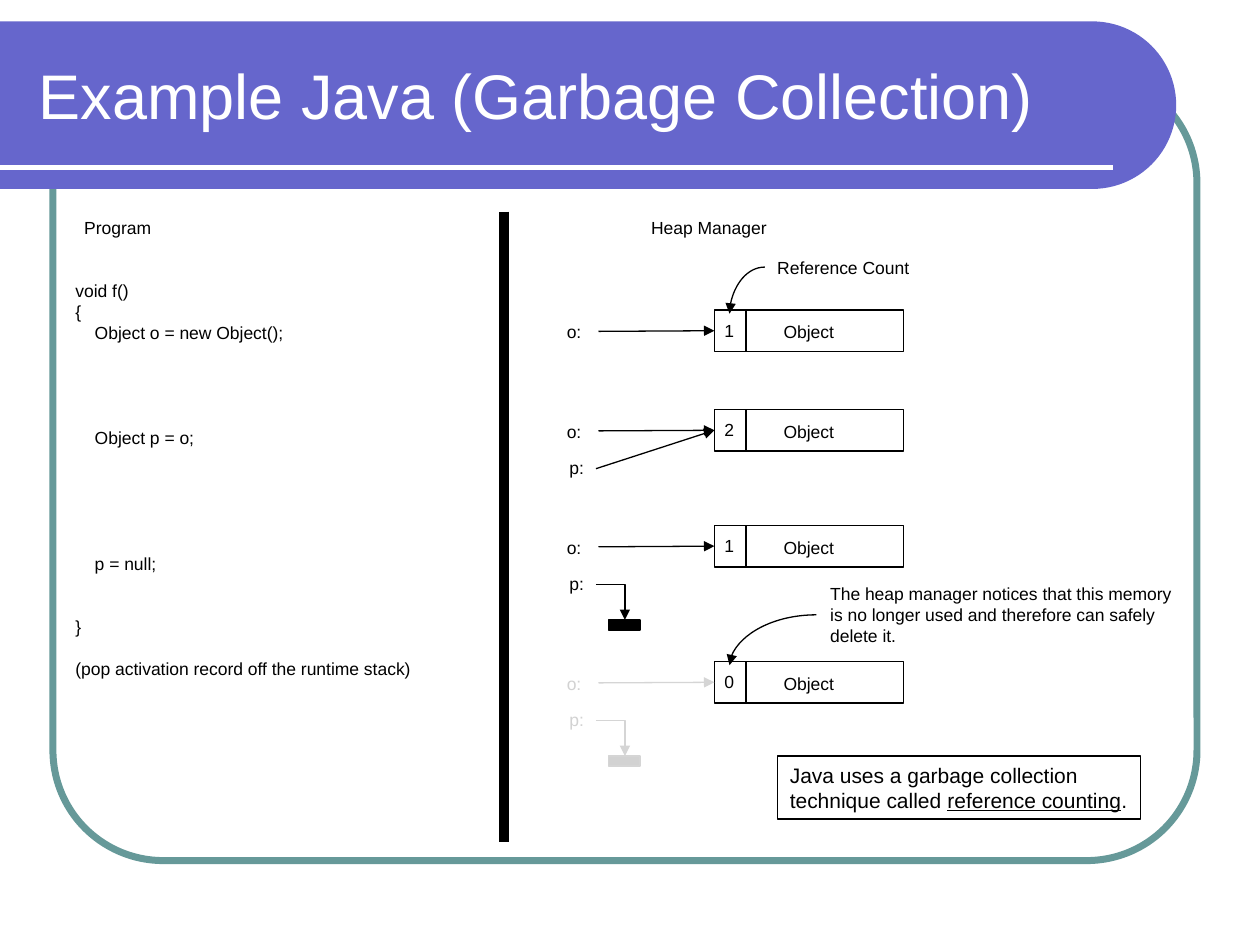
"""Build the slide on Java garbage collection by reference counting."""
from dataclasses import dataclass
from math import cos, pi, sin
from typing import Optional, Sequence

from lxml import etree
from pptx import Presentation
from pptx.dml.color import RGBColor
from pptx.enum.shapes import MSO_CONNECTOR, MSO_SHAPE
from pptx.enum.text import MSO_ANCHOR, MSO_AUTO_SIZE, PP_ALIGN
from pptx.oxml.ns import qn
from pptx.shapes.autoshape import Shape
from pptx.shapes.connector import Connector
from pptx.util import Inches, Pt

STRAIGHT, ELBOW, CURVE = MSO_CONNECTOR.STRAIGHT, MSO_CONNECTOR.ELBOW, MSO_CONNECTOR.CURVE
RECTANGLE, ROUNDED = MSO_SHAPE.RECTANGLE, MSO_SHAPE.ROUNDED_RECTANGLE
TOP, MIDDLE = MSO_ANCHOR.TOP, MSO_ANCHOR.MIDDLE
LEFT = PP_ALIGN.LEFT
FIXED = MSO_AUTO_SIZE.NONE

BLACK = RGBColor(0x00, 0x00, 0x00)
WHITE = RGBColor(0xFF, 0xFF, 0xFF)
TEAL = RGBColor(0x66, 0x99, 0x99)
VIOLET = RGBColor(0x66, 0x66, 0xCC)
FADED_TEXT = RGBColor(0xD2, 0xD2, 0xD2)
FADED_LINE = RGBColor(0xD5, 0xD5, 0xD5)

FONT = "Arial"
CODE_LINE_HEIGHT = 12
HAIRLINE = 0.75
OBJECT_LEFT, OBJECT_WIDTH, OBJECT_HEIGHT, COUNT_WIDTH = 5.67, 1.5, 0.33, 0.25
COUNT_CENTER = 5.79


@dataclass(frozen=True)
class CodeLine:
    text: str
    lines_skipped: int = 0


@dataclass(frozen=True)
class HeapState:
    top: float
    count: str
    p_target: Optional[str] = None
    faded: bool = False


PROGRAM = (
    CodeLine("void f()"),
    CodeLine("{"),
    CodeLine("    Object o = new Object();"),
    CodeLine("    Object p = o;", 4),
    CodeLine("    p = null;", 5),
    CodeLine("}", 2),
    CodeLine("(pop activation record off the runtime stack)", 1),
)

HEAP_STATES = (
    HeapState(2.46, "1"),
    HeapState(3.25, "2", "object"),
    HeapState(4.17, "1", "null"),
    HeapState(5.25, "0", "null", faded=True),
)


def add_text(shapes, text: str, left: float, top: float, width: float, height: float = 0.27, *,
             size: float = 10, color: RGBColor = BLACK, anchor=TOP, underlined: str = "",
             border: Optional[RGBColor] = None, gaps: Sequence[float] = ()) -> None:
    """Write text, one paragraph a line, with optional point gaps above each paragraph."""
    box = shapes.add_textbox(Inches(left), Inches(top), Inches(width), Inches(height))
    if border is not None:
        box.line.color.rgb = border
        box.line.width = Pt(HAIRLINE)
    frame = box.text_frame
    frame.word_wrap = True
    frame.auto_size = FIXED
    frame.vertical_anchor = anchor
    for index, line in enumerate(text.split("\n")):
        paragraph = frame.paragraphs[0] if index == 0 else frame.add_paragraph()
        paragraph.alignment = LEFT
        if index < len(gaps) and gaps[index]:
            paragraph.space_before = Pt(gaps[index])
        parts = line.partition(underlined) if underlined else (line,)
        for part in filter(None, parts):
            run = paragraph.add_run()
            run.text = part
            run.font.name = FONT
            run.font.size = Pt(size)
            run.font.color.rgb = color
            if part == underlined:
                run.font.underline = True


def add_box(shapes, left: float, top: float, width: float, height: float, *, line: RGBColor,
            kind=RECTANGLE, fill: Optional[RGBColor] = None, weight: float = HAIRLINE) -> Shape:
    """Draw an outlined preset shape, filled only when a fill is given."""
    box = shapes.add_shape(kind, Inches(left), Inches(top), Inches(width), Inches(height))
    box.shadow.inherit = False
    if fill is None:
        box.fill.background()
    else:
        box.fill.solid()
        box.fill.fore_color.rgb = fill
    box.line.color.rgb = line
    box.line.width = Pt(weight)
    return box


def add_line(shapes, start: tuple[float, float], end: tuple[float, float], *,
             color: RGBColor = BLACK, weight: float = HAIRLINE, kind=STRAIGHT,
             preset: str = "line", arrow: bool = False) -> Connector:
    """Draw a connector, with a triangular head at its end if asked."""
    connector = shapes.add_connector(kind, *map(Inches, start + end))
    connector.line.color.rgb = color
    connector.line.width = Pt(weight)
    properties = connector._element.spPr
    properties.find(qn("a:prstGeom")).set("prst", preset)
    if arrow:
        etree.SubElement(properties.find(qn("a:ln")), qn("a:tailEnd"), type="triangle")
    etree.SubElement(properties, qn("a:effectLst"))
    return connector


def add_banner(shapes) -> None:
    """Draw the title band with its semicircular right end."""
    top, radius, center_x, steps = 0.17, 0.665, 8.67, 48
    arc = [(Inches(center_x + radius * sin(pi * step / steps)),
            Inches(top + radius - radius * cos(pi * step / steps))) for step in range(steps + 1)]
    builder = shapes.build_freeform(0, Inches(top))
    builder.add_line_segments(arc + [(0, Inches(top + 2 * radius))], close=True)
    banner = builder.convert_to_shape()
    banner.shadow.inherit = False
    banner.fill.solid()
    banner.fill.fore_color.rgb = VIOLET
    banner.line.fill.background()


def add_heap_state(shapes, state: HeapState) -> None:
    """Draw the object with its count and the variables referring to it."""
    top = state.top
    text_color = FADED_TEXT if state.faded else BLACK
    line_color = FADED_LINE if state.faded else BLACK
    heap_object = add_box(shapes, OBJECT_LEFT, top, OBJECT_WIDTH, OBJECT_HEIGHT, line=BLACK)
    divider_x = OBJECT_LEFT + COUNT_WIDTH
    add_line(shapes, (divider_x, top), (divider_x, top + OBJECT_HEIGHT))
    add_text(shapes, "Object", 6.12, top + 0.04, 0.65)
    add_text(shapes, state.count, 5.65, top + 0.03, 0.3)
    object_side = (OBJECT_LEFT, top + OBJECT_HEIGHT / 2)

    add_text(shapes, "o:", 4.4, top + 0.04, 0.38, color=text_color)
    o_arrow = add_line(shapes, (4.75, top + 0.17), object_side, color=line_color, arrow=True)
    o_arrow.end_connect(heap_object, 1)
    if state.p_target is None:
        return

    add_text(shapes, "p:", 4.42, top + 0.33, 0.38, color=text_color)
    p_start = (4.73, top + 0.47)
    if state.p_target == "object":
        p_arrow = add_line(shapes, p_start, object_side, color=line_color, arrow=True)
        p_arrow.end_connect(heap_object, 1)
    else:
        add_box(shapes, 4.83, top + 0.75, 0.25, 0.08, fill=text_color, line=line_color)
        add_line(shapes, p_start, (4.96, top + 0.75), color=line_color, kind=ELBOW,
                 preset="bentConnector2", arrow=True)


def main() -> None:
    """Compose the slide and save it."""
    deck = Presentation()
    deck.slide_width, deck.slide_height = Inches(10), Inches(7.5)
    shapes = deck.slides.add_slide(deck.slide_layouts[6]).shapes

    frame = add_box(shapes, 0.42, 0.58, 9.08, 6.25, kind=ROUNDED, line=TEAL, weight=4)
    frame.adjustments[0] = 0.14
    add_banner(shapes)
    add_line(shapes, (0, 1.33), (8.83, 1.33), color=WHITE, weight=3)
    add_text(shapes, "Example Java (Garbage Collection)", 0.21, 0.25, 8.77, 1,
             size=36, color=WHITE, anchor=MIDDLE)

    add_text(shapes, "Program", 0.57, 1.67, 0.8)
    add_text(shapes, "Heap Manager", 5.07, 1.67, 1.2)
    add_line(shapes, (4, 1.68), (4, 6.68), weight=6)
    add_text(shapes, "\n".join(line.text for line in PROGRAM), 0.5, 2.17, 3.42, 3.61,
             gaps=[line.lines_skipped * CODE_LINE_HEIGHT for line in PROGRAM])

    for state in HEAP_STATES:
        add_heap_state(shapes, state)

    add_text(shapes, "Reference Count", 6.07, 1.99, 1.32)
    add_text(shapes, "The heap manager notices that this memory\n"
             "is no longer used and therefore can safely\ndelete it.", 6.49, 4.58, 2.98, 0.6)
    for start, count_top in (((6.07, 2.12), 2.49), ((6.48, 4.88), 5.28)):
        add_line(shapes, start, (COUNT_CENTER, count_top), kind=CURVE,
                 preset="curvedConnector2", arrow=True)
    add_text(shapes, "Java uses a garbage collection\ntechnique called reference counting.",
             6.17, 6, 2.88, 0.5, size=12, underlined="reference counting", border=BLACK)

    deck.save("out.pptx")


if __name__ == "__main__":
    main()
